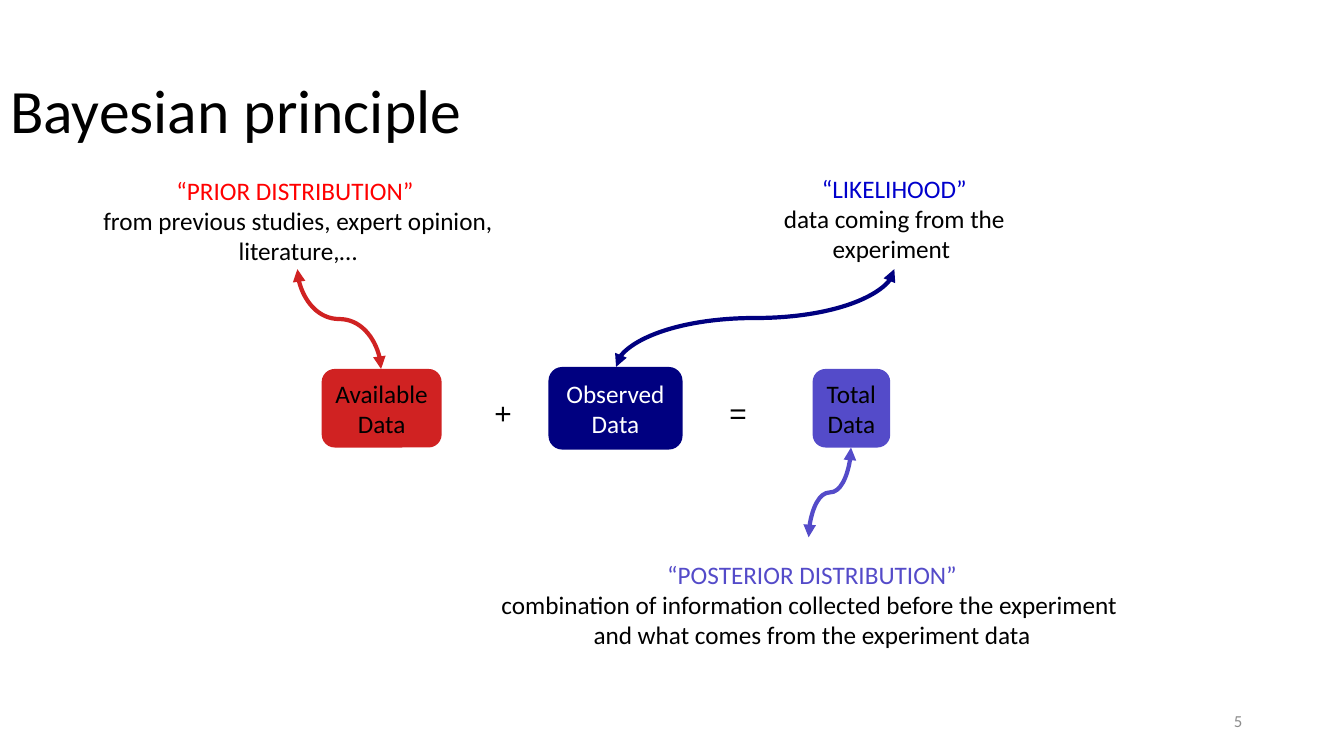
from dataclasses import dataclass

import pptx
import pptx.dml.color
import pptx.enum.shapes
import pptx.enum.text
import pptx.oxml
import pptx.oxml.ns
import pptx.util
from pptx.util import Inches

ALIGN = pptx.enum.text.PP_ALIGN
SHAPE = pptx.enum.shapes.MSO_SHAPE


@dataclass(frozen=True)
class Theme:
    font: str = "Calibri"
    operator_font: str = "Arial"
    title_size: float = 44
    body_size: float = 18
    operator_size: float = 21.3
    number_size: float = 12
    line_width: float = 3
    black: str = "000000"
    white: str = "FFFFFF"
    gray: str = "8C8C8C"
    prior: str = "D02222"
    prior_heading: str = "FF0000"
    observed: str = "000080"
    likelihood_heading: str = "0000CC"
    posterior: str = "544BC9"


THEME = Theme()


def rgb(color):
    return pptx.dml.color.RGBColor.from_string(color)


def write(shape, text, size, colors, align, font=THEME.font, wrap=True):
    """Fill a shape with one paragraph; colors go to its runs, the last one repeating."""
    frame = shape.text_frame
    frame.text = text
    frame.word_wrap = wrap
    frame.vertical_anchor = pptx.enum.text.MSO_ANCHOR.MIDDLE
    paragraph = frame.paragraphs[0]
    paragraph.alignment = align
    for index, run in enumerate(paragraph.runs):
        run.font.name = font
        run.font.size = pptx.util.Pt(size)
        run.font.color.rgb = rgb(colors[min(index, len(colors) - 1)])


def add_title(slide, box, text):
    title = slide.shapes.title
    title.left, title.top, title.width, title.height = map(Inches, box)
    write(title, text, THEME.title_size, [THEME.black], ALIGN.LEFT)
    title.text_frame.paragraphs[0].line_spacing = 0.9


def add_data_box(slide, box, text, fill, text_color):
    shape = slide.shapes.add_shape(SHAPE.FLOWCHART_ALTERNATE_PROCESS, *map(Inches, box))
    shape.shadow.inherit = False
    shape.fill.solid()
    shape.fill.fore_color.rgb = rgb(fill)
    shape.line.fill.background()
    write(shape, text, THEME.body_size, [text_color], ALIGN.CENTER, wrap=False)


def add_operator(slide, box, text):
    operator = slide.shapes.add_textbox(*map(Inches, box))
    write(operator, text, THEME.operator_size, [THEME.black], ALIGN.CENTER,
          THEME.operator_font, wrap=False)


def add_explanation(slide, box, text, heading_color):
    shape = slide.shapes.add_shape(SHAPE.FLOWCHART_PROCESS, *map(Inches, box))
    shape.shadow.inherit = False
    shape.fill.background()
    shape.line.fill.background()
    write(shape, text, THEME.body_size, [heading_color, THEME.black], ALIGN.CENTER)


def add_curve(slide, start, end, color):
    """Draw a double arrow from start down to end that leaves and arrives vertically."""
    (start_x, start_y), (end_x, end_y) = start, end
    center_x, center_y = (start_x + end_x) / 2, (start_y + end_y) / 2
    goes_right = end_x > start_x
    # The connector is laid out sideways, then turned a quarter about its centre.
    half_width = (end_y - start_y) / 2 * (1 if goes_right else -1)
    half_height = abs(end_x - start_x) / 2
    curve = slide.shapes.add_connector(
        pptx.enum.shapes.MSO_CONNECTOR.CURVE,
        Inches(center_x + half_width), Inches(center_y - half_height),
        Inches(center_x - half_width), Inches(center_y + half_height))
    curve.line.color.rgb = rgb(color)
    curve.line.width = pptx.util.Pt(THEME.line_width)
    properties = curve._element.spPr
    quarter_turns = 3 if goes_right else 1
    properties.find(pptx.oxml.ns.qn("a:xfrm")).set("rot", str(quarter_turns * 5400000))
    line = curve.line._get_or_add_ln()
    for tag in ("a:headEnd", "a:tailEnd"):
        arrowhead = pptx.oxml.parse_xml(
            f'<{tag} {pptx.oxml.ns.nsdecls("a")} type="triangle"/>')
        line.append(arrowhead)
    properties.append(pptx.oxml.parse_xml(
        f'<a:effectLst {pptx.oxml.ns.nsdecls("a")}/>'))


def add_equation(slide, left, top):
    """Available data + observed data = total data."""
    add_data_box(slide, (left, top + 0.02, 1.19, 0.78), "Available\vData",
                 THEME.prior, THEME.black)
    add_operator(slide, (left + 1.58, top + 0.21, 0.44, 0.49), "+")
    add_data_box(slide, (left + 2.25, top, 1.33, 0.82), "Observed\vData",
                 THEME.observed, THEME.white)
    add_operator(slide, (left + 3.91, top + 0.21, 0.44, 0.49), "=")
    add_data_box(slide, (left + 4.87, top + 0.02, 0.77, 0.78), "Total\vData",
                 THEME.posterior, THEME.black)


def add_explanations(slide):
    add_explanation(
        slide, (0.84, 1.68, 4.23, 1.01),
        "“PRIOR DISTRIBUTION” \vfrom previous studies, expert opinion, literature,…",
        THEME.prior_heading)
    add_explanation(
        slide, (7.3, 1.66, 3.14, 1.01),
        "“LIKELIHOOD”\vdata coming from the experiment ",
        THEME.likelihood_heading)
    add_explanation(
        slide, (4.08, 5.49, 7.95, 1.01),
        "“POSTERIOR DISTRIBUTION”\v"
        "combination of information collected before the experiment \v"
        "and what comes from the experiment data",
        THEME.posterior)


def add_slide_number(slide, box, text):
    number = slide.shapes.add_textbox(*map(Inches, box))
    write(number, text, THEME.number_size, [THEME.gray], ALIGN.RIGHT)


def main():
    presentation = pptx.Presentation()
    presentation.slide_width = Inches(13.33)
    presentation.slide_height = Inches(7.5)
    slide = presentation.slides.add_slide(presentation.slide_layouts.get_by_name("Title Only"))
    add_title(slide, (0, 0.4, 11.5, 1.45), "Bayesian principle")
    add_equation(slide, 3.19, 3.64)
    add_explanations(slide)
    add_curve(slide, (2.95, 2.67), (3.78, 3.66), THEME.prior)
    add_curve(slide, (8.87, 2.67), (6.11, 3.64), THEME.observed)
    add_curve(slide, (8.44, 4.44), (8.02, 5.33), THEME.posterior)
    add_slide_number(slide, (9.42, 6.95, 3, 0.4), "5")
    presentation.save("out.pptx")


if __name__ == "__main__":
    main()
